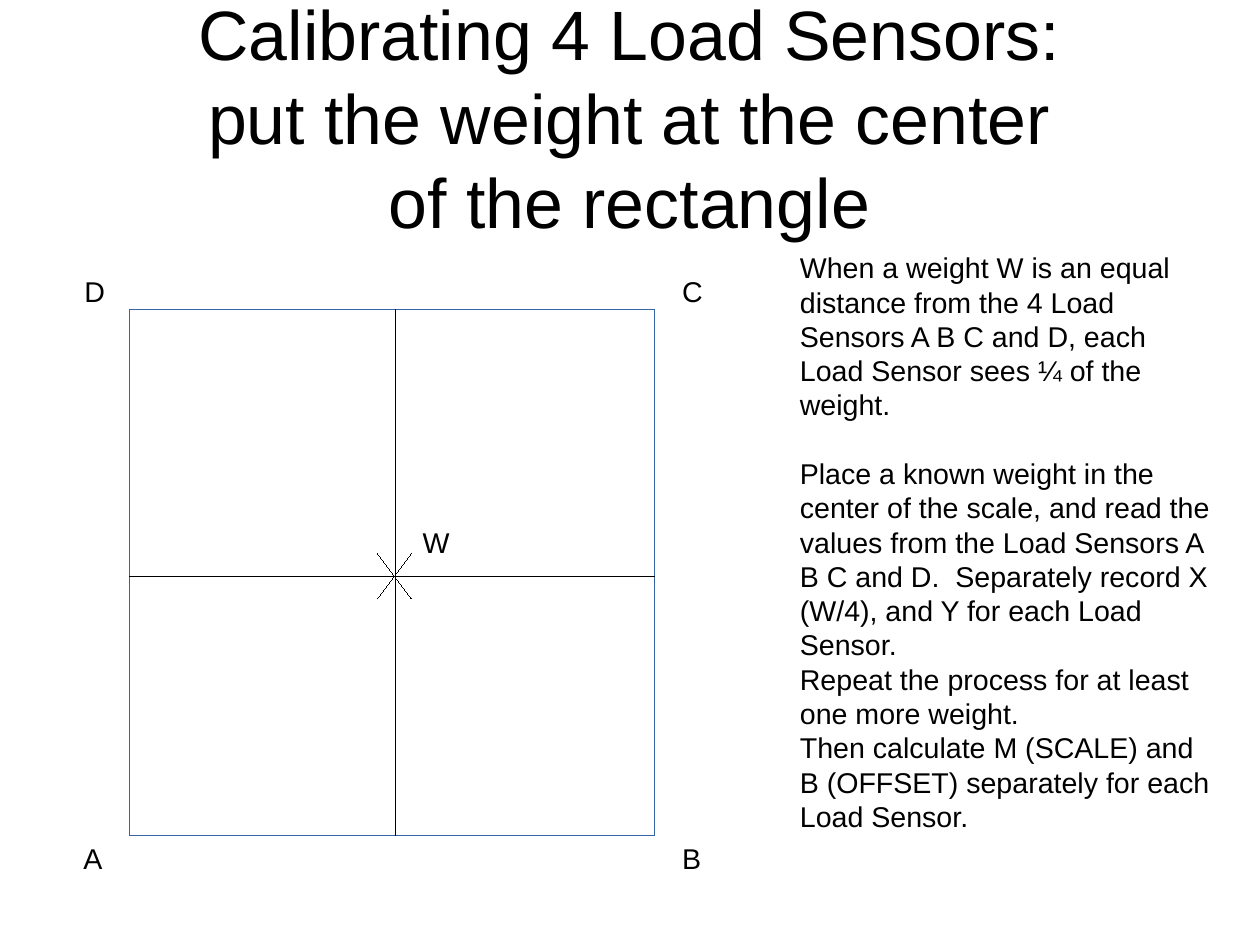
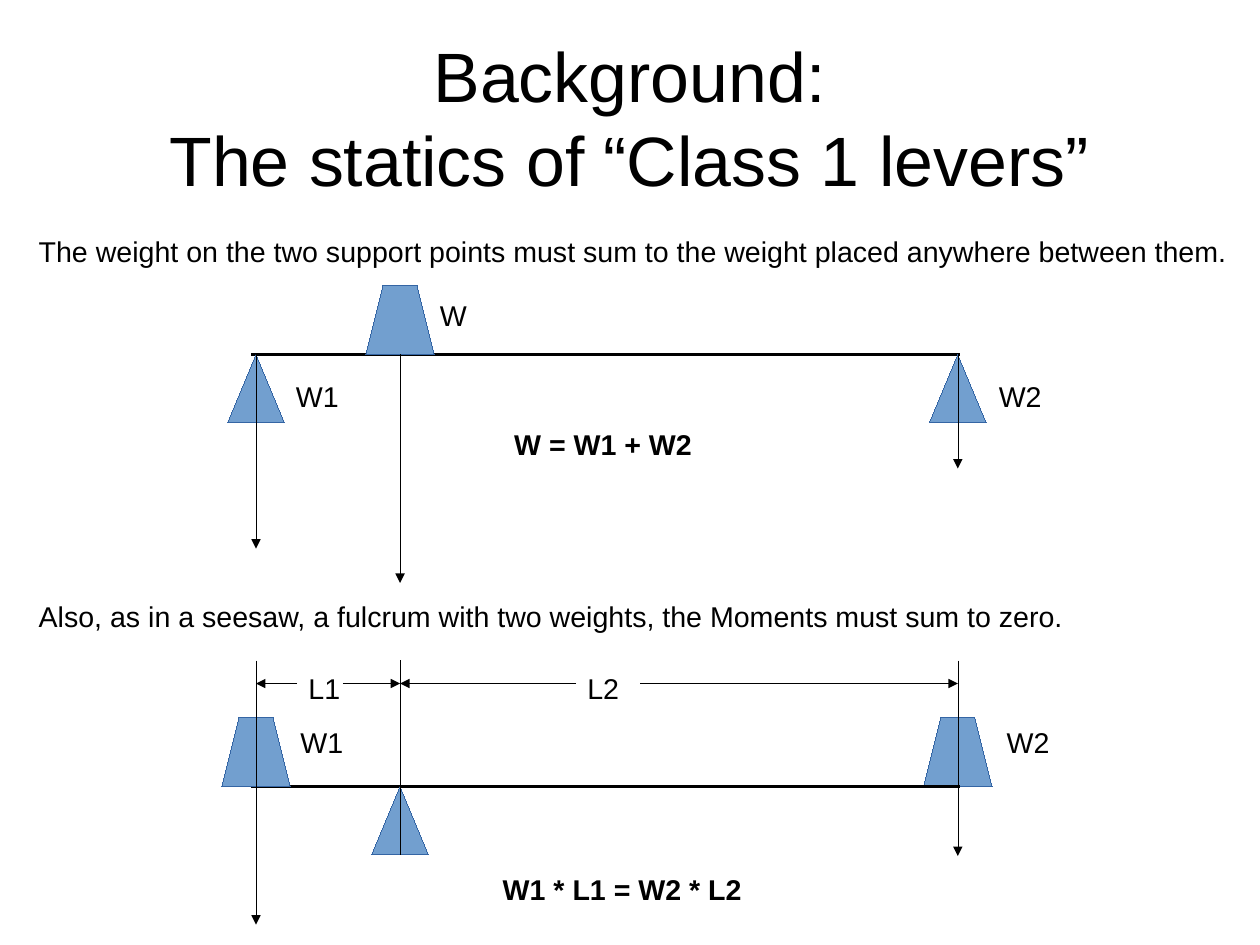
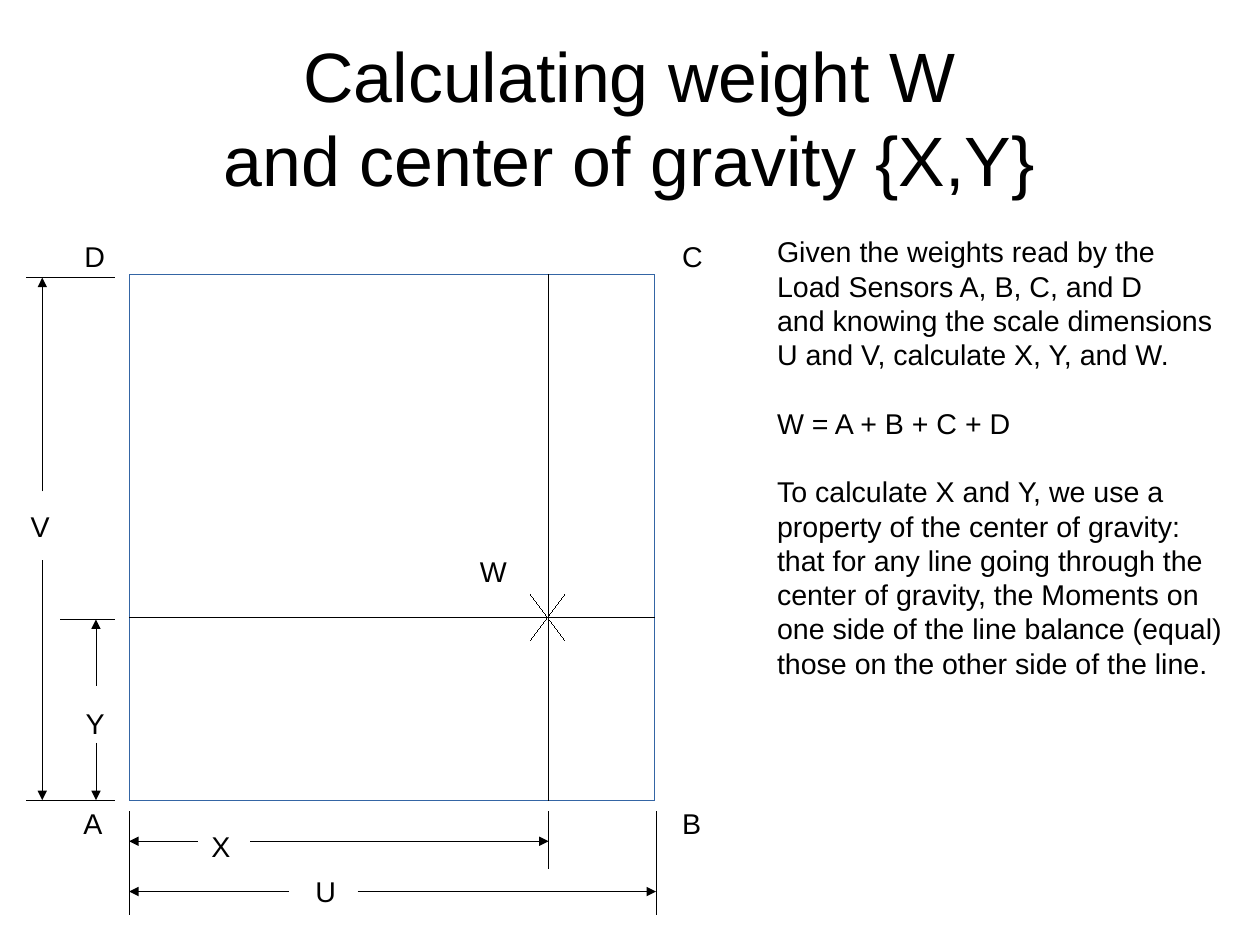
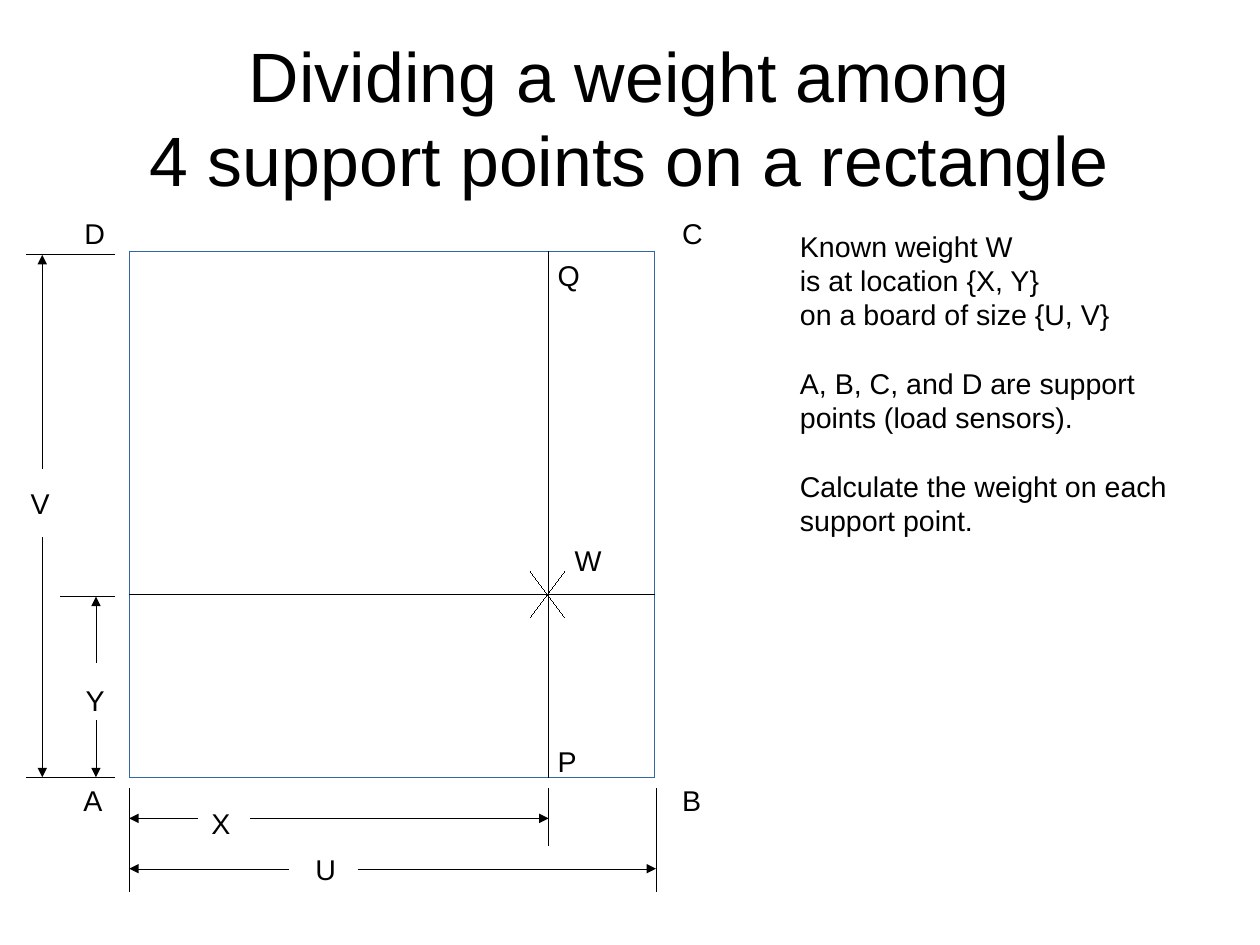
from dataclasses import dataclass

from lxml import etree
from pptx import Presentation
from pptx import util as u
from pptx.dml import color
from pptx.enum import shapes, text
from pptx.oxml import ns

INK, FILL, EDGE = "000000", "729FCF", "3465A4"
FONT, SMALL, LARGE = "Arial", 18, 44
LEFT, SIDE = 1.13, 4.6
HAIR = 0.01


@dataclass
class Label:
    words: str
    x: float
    y: float
    wide: float = 0.38
    bold: bool = False


@dataclass
class Line:
    x1: float
    y1: float
    x2: float
    y2: float
    arrow: bool = False
    width: float = HAIR


@dataclass
class Solid:
    x: float
    y: float
    wide: float
    high: float
    kind: shapes.MSO_SHAPE
    fill: str = ""


@dataclass
class Span:
    at: float
    start: float
    gap: float
    back: float
    end: float
    upright: bool
    label: Label


@dataclass
class Para:
    words: str
    space: float = 0


def hue(code: str) -> color.RGBColor:
    return color.RGBColor.from_string(code)


def add_run(para, words: str, size: int, bold: bool = False) -> None:
    run = para.add_run()
    run.text = words
    run.font.name, run.font.size, run.font.bold = FONT, u.Pt(size), bold
    run.font.color.rgb = hue(INK)


def add_frame(slide, x: float, y: float, wide: float, high: float):
    box = slide.shapes.add_textbox(u.Inches(x), u.Inches(y), u.Inches(wide), u.Inches(high))
    box.text_frame.word_wrap = True
    return box.text_frame


def add_title(slide, *lines: str) -> None:
    high = 0.69 * len(lines)
    frame = add_frame(slide, 0.55, 1.02 - high / 2, 9.92, high)
    frame.margin_left = frame.margin_right = frame.margin_top = frame.margin_bottom = 0
    frame.vertical_anchor = text.MSO_ANCHOR.MIDDLE
    para = frame.paragraphs[0]
    para.alignment = text.PP_ALIGN.CENTER
    for index, words in enumerate(lines):
        if index:
            para.add_line_break()
        add_run(para, words, LARGE)


def add_label(slide, label: Label) -> None:
    frame = add_frame(slide, label.x, label.y, label.wide + 0.03, 0.38)
    frame.auto_size = text.MSO_AUTO_SIZE.SHAPE_TO_FIT_TEXT
    add_run(frame.paragraphs[0], label.words, SMALL, label.bold)


def add_body(slide, x: float, y: float, wide: float, paras: list[Para]) -> None:
    frame = add_frame(slide, x, y, wide, 5.7)
    for index, item in enumerate(paras):
        para = frame.add_paragraph() if index else frame.paragraphs[0]
        para.space_before = u.Pt(item.space)
        add_run(para, item.words, SMALL)


def add_line(slide, line: Line) -> None:
    link = slide.shapes.add_connector(
        shapes.MSO_CONNECTOR.STRAIGHT,
        u.Inches(line.x1), u.Inches(line.y1), u.Inches(line.x2), u.Inches(line.y2),
    )
    link.line.color.rgb = hue(INK)
    link.line.width = u.Pt(line.width)
    props = link._element.spPr
    if line.arrow:
        etree.SubElement(props.find(ns.qn("a:ln")), ns.qn("a:tailEnd"), type="triangle")
    etree.SubElement(props, ns.qn("a:effectLst"))


def add_solid(slide, solid: Solid) -> None:
    shape = slide.shapes.add_shape(
        solid.kind, u.Inches(solid.x), u.Inches(solid.y),
        u.Inches(solid.wide), u.Inches(solid.high),
    )
    shape.shadow.inherit = False
    if solid.fill:
        shape.fill.solid()
        shape.fill.fore_color.rgb = hue(solid.fill)
    else:
        shape.fill.background()
    shape.line.color.rgb = hue(EDGE)
    shape.line.width = u.Pt(HAIR)


def add_weight(slide, mid: float, base: float) -> None:
    add_solid(slide, Solid(mid - 0.3, base - 0.6, 0.6, 0.6, shapes.MSO_SHAPE.TRAPEZOID, FILL))


def add_prop(slide, mid: float, top: float) -> None:
    add_solid(slide, Solid(mid - 0.25, top, 0.5, 0.6, shapes.MSO_SHAPE.ISOSCELES_TRIANGLE, FILL))


def add_span(slide, span: Span) -> None:
    for tail, head in ((span.gap, span.start), (span.back, span.end)):
        if span.upright:
            add_line(slide, Line(span.at, tail, span.at, head, True))
        else:
            add_line(slide, Line(tail, span.at, head, span.at, True))
    add_label(slide, span.label)


def add_board(slide, top: float, x: float, y: float, mark: Label) -> None:
    base, right = top + SIDE, LEFT + SIDE
    add_solid(slide, Solid(LEFT, top, SIDE, SIDE, shapes.MSO_SHAPE.RECTANGLE))
    for words, left, high in (
        ("A", 0.63, base), ("D", 0.64, top - 0.36),
        ("B", 5.87, base), ("C", 5.87, top - 0.36),
    ):
        add_label(slide, Label(words, left, high))
    mid = x - 0.01
    for rise in (0.2, -0.2):
        add_line(slide, Line(mid + 0.15, y - rise, mid - 0.15, y + rise))
    add_line(slide, Line(right, y, LEFT, y))
    add_line(slide, Line(x, base, x, top))
    add_label(slide, mark)


def add_sizes(slide, top: float, x: float, y: float) -> None:
    base, right = top + SIDE, LEFT + SIDE + 0.01
    for left, drop in ((LEFT, 1), (right, 1), (x, 0.6)):
        add_line(slide, Line(left, base + 0.1, left, base + drop))
    for high, left in ((base, 0.23), (top + 0.03, 0.23), (y + 0.02, 0.53)):
        add_line(slide, Line(1, high, left, high))
    for span in (
        Span(base + 0.8, LEFT, 2.53, 3.13, right, False, Label("U", 2.66, base + 0.6)),
        Span(base + 0.36, LEFT, 1.73, 2.19, x, False, Label("X", 1.75, base + 0.2)),
        Span(0.37, top + 0.03, base - 2.7, base - 2.1, base, True, Label("V", 0.17, base - 2.6)),
        Span(0.84, y + 0.02, base - 1, base - 0.5, base, True, Label("Y", 0.65, base - 0.87)),
    ):
        add_span(slide, span)


def draw_center(slide) -> None:
    add_title(slide, "Calibrating 4 Load Sensors:", "put the weight at the center", "of the rectangle")
    add_board(slide, 2.71, 3.46, 5.04, Label("W", 3.6, 4.54, 0.43))
    add_body(slide, 6.9, 2.14, 3.8, [
        Para("When a weight W is an equal distance from the 4 Load Sensors A B C and D, "
             "each Load Sensor sees ¼ of the weight."),
        Para("Place a known weight in the center of the scale, and read the values from the "
             "Load Sensors A B C and D.  Separately record X (W/4), and Y for each Load Sensor.", 21.6),
        Para("Repeat the process for at least one more weight."),
        Para("Then calculate M (SCALE) and B (OFFSET) separately for each Load Sensor."),
    ])


def draw_lever(slide) -> None:
    near, pivot, far = 2.24, 3.5, 8.38
    beam, seesaw = 3.1, 6.88
    add_weight(slide, far, seesaw)
    add_title(slide, "Background:", "The statics of “Class 1 levers”")
    for high in (beam, seesaw):
        add_line(slide, Line(2.2, high, 8.4, high, width=2.3))
    add_weight(slide, pivot, beam)
    add_weight(slide, near, seesaw)
    for mid, top in ((near, beam), (far, beam), (pivot, seesaw)):
        add_prop(slide, mid, top)
    for mid, top, end, arrow in (
        (pivot, beam, 5.1, True), (near, beam, 4.8, True), (far, beam, 4.1, True),
        (pivot, 5.78, 7.48, False), (near, 5.78, 8.09, True), (far, 5.78, 7.49, True),
    ):
        add_line(slide, Line(mid, top, mid, end, arrow))
    add_span(slide, Span(5.98, near, 2.6, 3, pivot, False, Label("L1", 2.6, 5.82, 0.48)))
    add_span(slide, Span(5.98, pivot, 5.04, 5.6, far, False, Label("L2", 5.04, 5.82, 0.48)))
    for label in (
        Label("W", 3.75, 2.56, 0.43),
        Label("W1", 2.49, 3.27, 0.57),
        Label("W2", 8.64, 3.27, 0.57),
        Label("W1", 2.53, 6.29, 0.57),
        Label("W2", 8.71, 6.29, 0.57),
        Label("W = W1 + W2", 4.4, 3.69, 1.76, True),
        Label("W1 * L1 = W2 * L2", 4.3, 7.58, 2.29, True),
        Label("Also, as in a seesaw, a fulcrum with two weights, the Moments must sum to zero.",
              0.24, 5.19, 9.16),
        Label("The weight on the two support points must sum to the weight placed anywhere "
              "between them.", 0.24, 2, 10.59),
    ):
        add_label(slide, label)


def draw_solve(slide) -> None:
    add_title(slide, "Calculating weight W", "and center of gravity {X,Y}")
    add_body(slide, 6.7, 2, 4.2, [
        Para("Given the weights read by the"),
        Para("Load Sensors A, B, C, and D"),
        Para("and knowing the scale dimensions"),
        Para("U and V, calculate X, Y, and W."),
        Para("W = A + B + C + D", 21.6),
        Para("To calculate X and Y, we use a", 21.6),
        Para("property of the center of gravity:"),
        Para("that for any line going through the"),
        Para("center of gravity, the Moments on"),
        Para("one side of the line balance (equal)"),
        Para("those on the other side of the line."),
    ])
    add_board(slide, 2.4, 4.8, 5.4, Label("W", 4.1, 4.8, 0.43))
    add_sizes(slide, 2.4, 4.8, 5.4)


def draw_share(slide) -> None:
    add_title(slide, "Dividing a weight among", "4 support points on a rectangle")
    add_board(slide, 2.2, 4.8, 5.2, Label("W", 4.93, 4.7, 0.43))
    add_sizes(slide, 2.2, 4.8, 5.2)
    add_body(slide, 6.9, 1.95, 3.8, [
        Para("Known weight W"),
        Para("is at location {X, Y}"),
        Para("on a board of size {U, V}"),
        Para("A, B, C, and D are support points (load sensors).", 21.6),
        Para("Calculate the weight on each support point.", 21.6),
    ])
    add_label(slide, Label("P", 4.78, 6.46))
    add_label(slide, Label("Q", 4.78, 2.21))


def main() -> None:
    deck = Presentation()
    deck.slide_width, deck.slide_height = u.Inches(28 / 2.54), u.Inches(21 / 2.54)
    for draw in (draw_center, draw_lever, draw_solve, draw_share):
        draw(deck.slides.add_slide(deck.slide_layouts[6]))
    deck.save("out.pptx")


if __name__ == "__main__":
    main()
